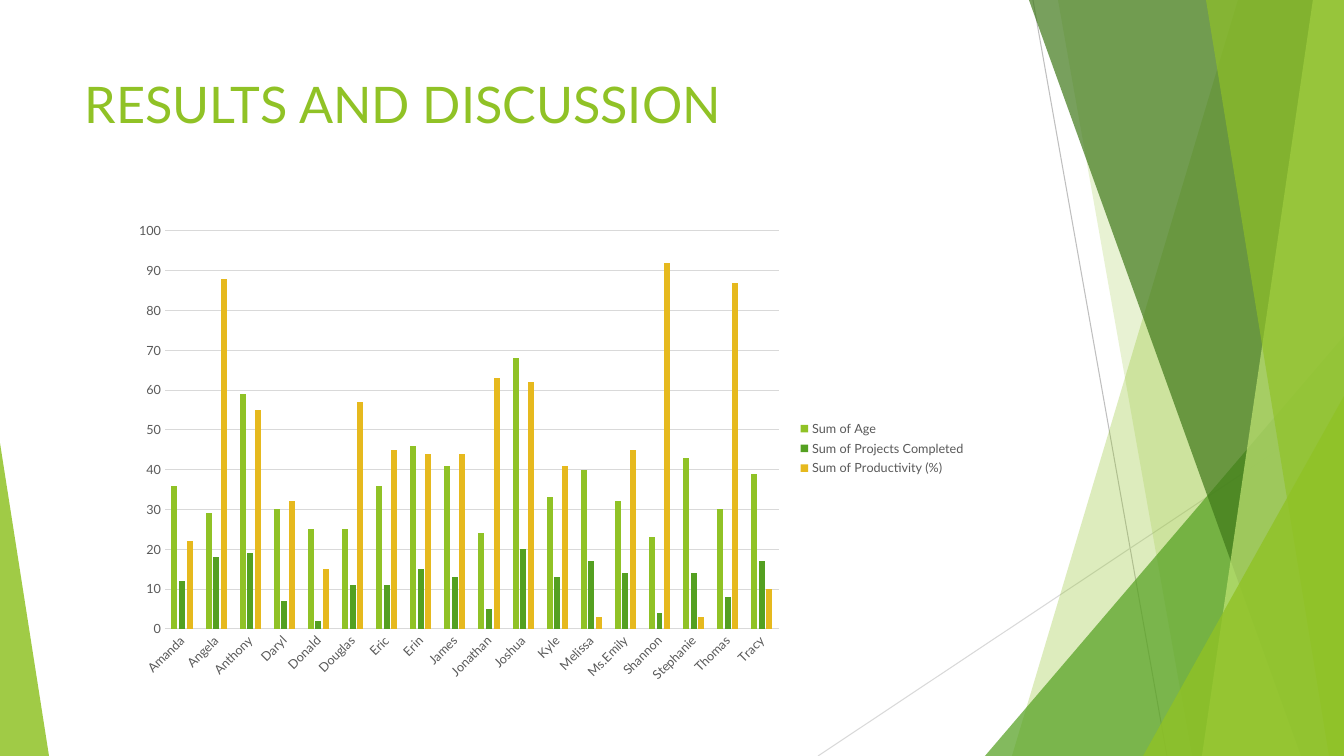
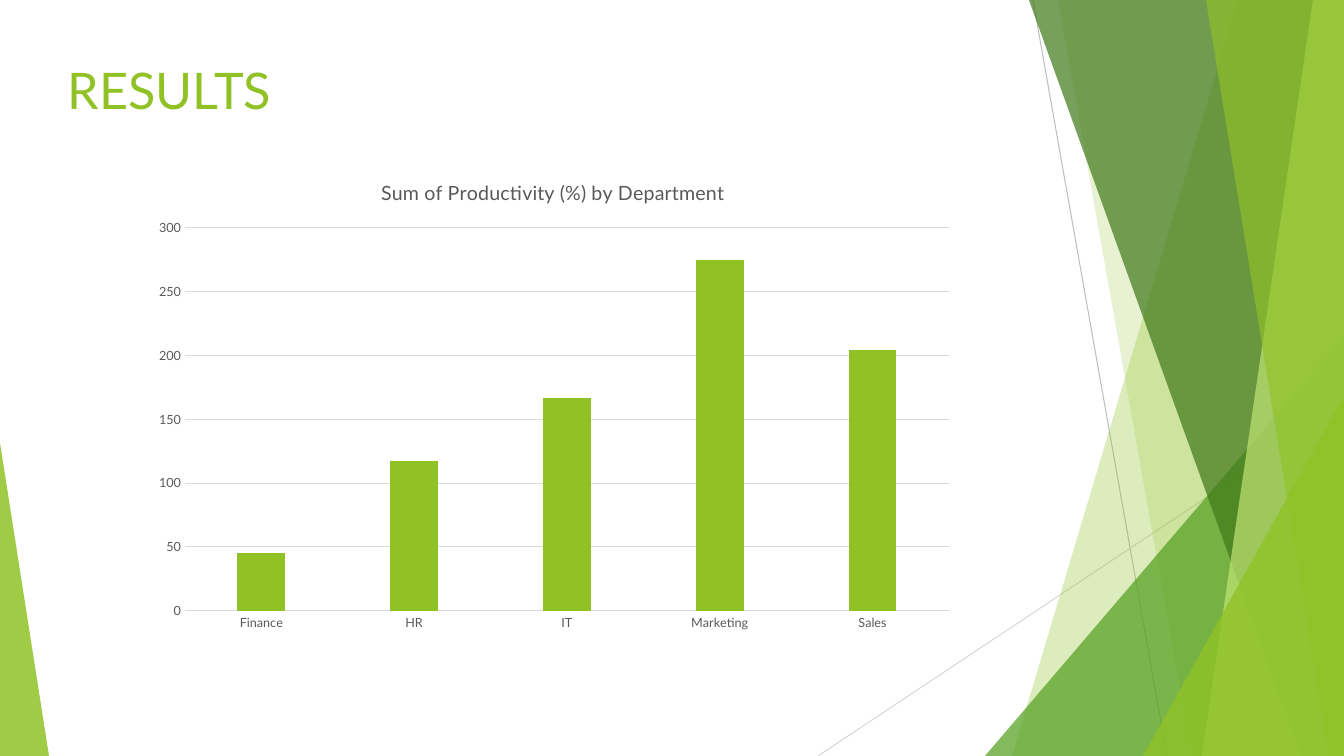
"""Build two result slides that share a green faceted frame."""
from lxml import etree
from pptx import Presentation
from pptx import util as u
from pptx.chart import data
from pptx.dml import color
from pptx.enum import chart as ch, shapes, text
from pptx.oxml import ns

PX = 914400 / 100.8
WIDTH, HEIGHT = 1344, 756
FONT = "Lato"
LIME, GREEN, FOREST, PALE, GOLD = "90C226", "54A021", "3F7819", "C0E474", "E6B91E"
GREY, RULE, DARK_RULE = "595959", "D9D9D9", "BFBFBF"

FACETS = [(1238, 1012, LIME, 30), (1058, 1192, LIME, 20)]
TOP_FACETS = [(1029, 1301, FOREST, 70), (1313, 1202, PALE, 70), (1206, 1329, LIME, 65)]

PEOPLE = ["Amanda", "Angela", "Anthony", "Daryl", "Donald", "Douglas", "Eric", "Erin", "James",
          "Jonathan", "Joshua", "Kyle", "Melissa", "Ms.Emily", "Shannon", "Stephanie", "Thomas",
          "Tracy"]
BY_PERSON = [
    ("Sum of Age", LIME,
     [36, 29, 59, 30, 25, 25, 36, 46, 41, 24, 68, 33, 40, 32, 23, 43, 30, 39]),
    ("Sum of Projects Completed", GREEN,
     [12, 18, 19, 7, 2, 11, 11, 15, 13, 5, 20, 13, 17, 14, 4, 14, 8, 17]),
    ("Sum of Productivity (%)", GOLD,
     [22, 88, 55, 32, 15, 57, 45, 44, 44, 63, 62, 41, 3, 45, 92, 3, 87, 10]),
]
DEPARTMENTS = ["Finance", "HR", "IT", "Marketing", "Sales"]
BY_DEPARTMENT = [("Series 1", LIME, [45, 117, 167, 275, 204])]


def px(n):
    return u.Emu(round(n * PX))


def rgb(value):
    return color.RGBColor.from_string(value)


def style_font(font, size, fill):
    font.name, font.size, font.bold = FONT, u.Pt(size), False
    font.color.rgb = rgb(fill)


def write(tf, content, *, size, fill):
    p = tf.paragraphs[0]
    r = p.add_run()
    r.text = content
    style_font(r.font, size, fill)


def style_line(line, fill, width=0.75):
    line.color.rgb = rgb(fill)
    line.width = u.Pt(width)


class Deck:
    """Hold the presentation, its style and the current slide."""

    def __init__(self):
        self.prs = Presentation()
        self.prs.slide_width, self.prs.slide_height = px(WIDTH), px(HEIGHT)
        self.s = None

    def slide(self):
        self.s = self.prs.slides.add_slide(self.prs.slide_layouts[6])
        self.frame()

    def frame(self):
        self.line(1033, 0, 1167, HEIGHT, DARK_RULE)
        self.line(WIDTH, 406, 818, HEIGHT, RULE)
        for facet in FACETS:
            self.facet(*facet)
        self.triangle(985, 336, 359, 1, GREEN, 72)
        for facet in TOP_FACETS:
            self.facet(*facet)
        self.triangle(1143, 396, 201, 1, LIME, 80)
        self.triangle(0, 443, 49, 0, LIME, 85)

    def line(self, x1, y1, x2, y2, fill):
        c = self.s.shapes.add_connector(
            shapes.MSO_CONNECTOR.STRAIGHT, px(x1), px(y1), px(x2), px(y2))
        style_line(c.line, fill)
        etree.SubElement(c._element.spPr, ns.qn("a:effectLst"))

    def paint(self, sp, fill, opacity):
        sp.shadow.inherit = False
        sp.line.fill.background()
        sp.fill.solid()
        sp.fill.fore_color.rgb = rgb(fill)
        clr = sp._element.spPr.find(".//" + ns.qn("a:srgbClr"))
        etree.SubElement(clr, ns.qn("a:alpha"), val=str(opacity * 1000))

    def facet(self, top_x, bottom_x, fill, opacity):
        outline = self.s.shapes.build_freeform(top_x, 0, scale=PX)
        outline.add_line_segments([(WIDTH, 0), (WIDTH, HEIGHT), (bottom_x, HEIGHT)], close=True)
        self.paint(outline.convert_to_shape(), fill, opacity)

    def triangle(self, x, y, w, apex, fill, opacity):
        sp = self.s.shapes.add_shape(
            shapes.MSO_SHAPE.ISOSCELES_TRIANGLE, px(x), px(y), px(w), px(HEIGHT - y))
        sp.adjustments[0] = apex
        self.paint(sp, fill, opacity)

    def title(self, x, y, content):
        tf = self.s.shapes.add_textbox(px(x), px(y), px(948), px(145)).text_frame
        tf.word_wrap = True
        tf.vertical_anchor = text.MSO_ANCHOR.TOP
        write(tf, content, size=36, fill=LIME)

    def columns(self, box, plot, cats, series, *, top, step, title=None, legend=False, turn=0):
        cd = data.CategoryChartData()
        cd.categories = cats
        for name, _, values in series:
            cd.add_series(name, values)
        chart = self.s.shapes.add_chart(
            ch.XL_CHART_TYPE.COLUMN_CLUSTERED, *map(px, box), cd).chart
        style_font(chart.font, 10, GREY)
        chart.has_title = title is not None
        if title:
            write(chart.chart_title.text_frame, title, size=14, fill=GREY)
            chart.chart_title.include_in_layout = False
        chart.has_legend = legend
        if legend:
            chart.legend.position = ch.XL_LEGEND_POSITION.RIGHT
            chart.legend.include_in_layout = False
            style_font(chart.legend.font, 9, GREY)
        bars = chart.plots[0]
        bars.gap_width, bars.overlap, bars.vary_by_categories = 219, -27, False
        for ser, (_, fill, _) in zip(bars.series, series):
            ser.format.fill.solid()
            ser.format.fill.fore_color.rgb = rgb(fill)
            ser.invert_if_negative = False
        self.axes(chart, top, step, turn)
        self.place_plot(chart, box, plot)

    def axes(self, chart, top, step, turn):
        cat, val = chart.category_axis, chart.value_axis
        for axis in (cat, val):
            axis.major_tick_mark = axis.minor_tick_mark = ch.XL_TICK_MARK.NONE
            style_font(axis.tick_labels.font, 9, GREY)
        style_line(cat.format.line, RULE)
        cat._element.txPr.bodyPr.set("rot", str(turn * 60000))
        val.minimum_scale, val.maximum_scale, val.major_unit = 0, top, step
        val.format.line.fill.background()
        val.has_major_gridlines = True
        style_line(val.major_gridlines.format.line, RULE)

    def place_plot(self, chart, box, plot):
        area = chart._chartSpace.chart.plotArea
        for old in area.findall(ns.qn("c:layout")):
            area.remove(old)
        layout = etree.Element(ns.qn("c:layout"))
        area.insert(0, layout)
        manual = etree.SubElement(layout, ns.qn("c:manualLayout"))
        x, y, w, h = box
        left, top, width, height = plot
        for tag, val in [("layoutTarget", "inner"), ("xMode", "edge"), ("yMode", "edge"),
                         ("x", (left - x) / w), ("y", (top - y) / h),
                         ("w", width / w), ("h", height / h)]:
            etree.SubElement(manual, ns.qn("c:" + tag), val=str(val))


def main():
    deck = Deck()
    deck.slide()
    deck.title(75, 68, "RESULTS AND DISCUSSION")
    deck.columns((122, 208, 854, 481), (165, 231, 614, 398), PEOPLE, BY_PERSON,
                 top=100, step=10, legend=True, turn=-45)
    deck.slide()
    deck.title(58, 54, "RESULTS")
    deck.columns((142, 160, 822, 481), (185, 228, 764, 383), DEPARTMENTS, BY_DEPARTMENT,
                 top=300, step=50, title="Sum of Productivity (%) by Department")
    deck.prs.save("out.pptx")


if __name__ == "__main__":
    main()
